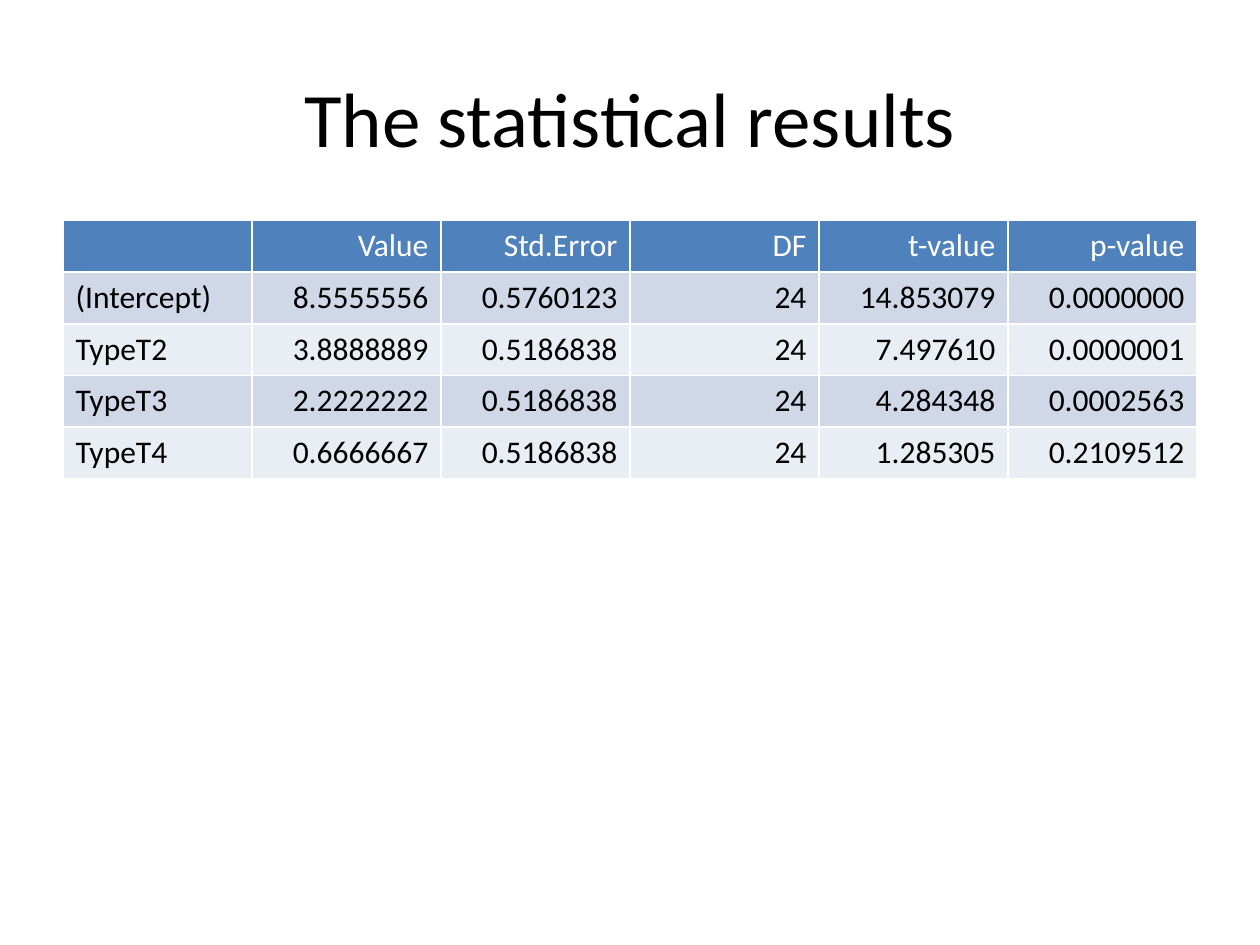
from lxml.etree import SubElement
from pptx import Presentation
from pptx.dml.color import RGBColor
from pptx.enum.text import MSO_ANCHOR, PP_ALIGN
from pptx.oxml.ns import qn
from pptx.util import Inches, Pt

BLACK = RGBColor(0x00, 0x00, 0x00)
WHITE = RGBColor(0xFF, 0xFF, 0xFF)
HEADER_BLUE = RGBColor(0x4F, 0x81, 0xBD)
BAND_DARK = RGBColor(0xD0, 0xD8, 0xE8)
BAND_LIGHT = RGBColor(0xE9, 0xED, 0xF4)

FONT = "Calibri"
ROW_HEIGHT = Inches(0.41)

RESULTS = [
    ["", "Value", "Std.Error", "DF", "t-value", "p-value"],
    ["(Intercept)", "8.5555556", "0.5760123", "24", "14.853079", "0.0000000"],
    ["TypeT2", "3.8888889", "0.5186838", "24", "7.497610", "0.0000001"],
    ["TypeT3", "2.2222222", "0.5186838", "24", "4.284348", "0.0002563"],
    ["TypeT4", "0.6666667", "0.5186838", "24", "1.285305", "0.2109512"],
]


def write_text(frame, text, size=18, color=BLACK, align=PP_ALIGN.LEFT):
    paragraph = frame.paragraphs[0]
    paragraph.alignment = align
    if not text:
        paragraph.font.size = Pt(size)
        return
    run = paragraph.add_run()
    run.text = text
    run.font.name = FONT
    run.font.size = Pt(size)
    run.font.bold = False
    run.font.color.rgb = color


def set_borders(cell, color=WHITE, width=Pt(1)):
    """Draw all four sides; the lines must precede the fill in the cell XML."""
    properties = cell._tc.get_or_add_tcPr()
    for side in ("a:lnL", "a:lnR", "a:lnT", "a:lnB"):
        line = SubElement(properties, qn(side), w=str(width))
        fill = SubElement(line, qn("a:solidFill"))
        SubElement(fill, qn("a:srgbClr"), val=str(color))


def add_title(slide, left, top, width, height):
    title = slide.shapes.add_textbox(left, top, width, height).text_frame
    title.word_wrap = True
    title.vertical_anchor = MSO_ANCHOR.MIDDLE
    write_text(title, "The statistical results", size=44, align=PP_ALIGN.CENTER)


def add_results_table(slide, left, top, width):
    row_count, column_count = len(RESULTS), len(RESULTS[0])
    table = slide.shapes.add_table(
        row_count, column_count, left, top, width, ROW_HEIGHT * row_count
    ).table
    for row, values in enumerate(RESULTS):
        if row == 0:
            fill, color = HEADER_BLUE, WHITE
        else:
            fill, color = (BAND_DARK if row % 2 else BAND_LIGHT), BLACK
        for column, value in enumerate(values):
            cell = table.cell(row, column)
            set_borders(cell)
            cell.fill.solid()
            cell.fill.fore_color.rgb = fill
            align = PP_ALIGN.RIGHT if column else PP_ALIGN.LEFT
            write_text(cell.text_frame, value, color=color, align=align)


def main():
    presentation = Presentation()
    presentation.slide_width = Inches(10)
    presentation.slide_height = Inches(7.5)
    slide = presentation.slides.add_slide(presentation.slide_layouts[6])
    add_title(slide, Inches(0.5), Inches(0.3), Inches(9), Inches(1.25))
    add_results_table(slide, Inches(0.5), Inches(1.75), Inches(9))
    presentation.save("out.pptx")


if __name__ == "__main__":
    main()
